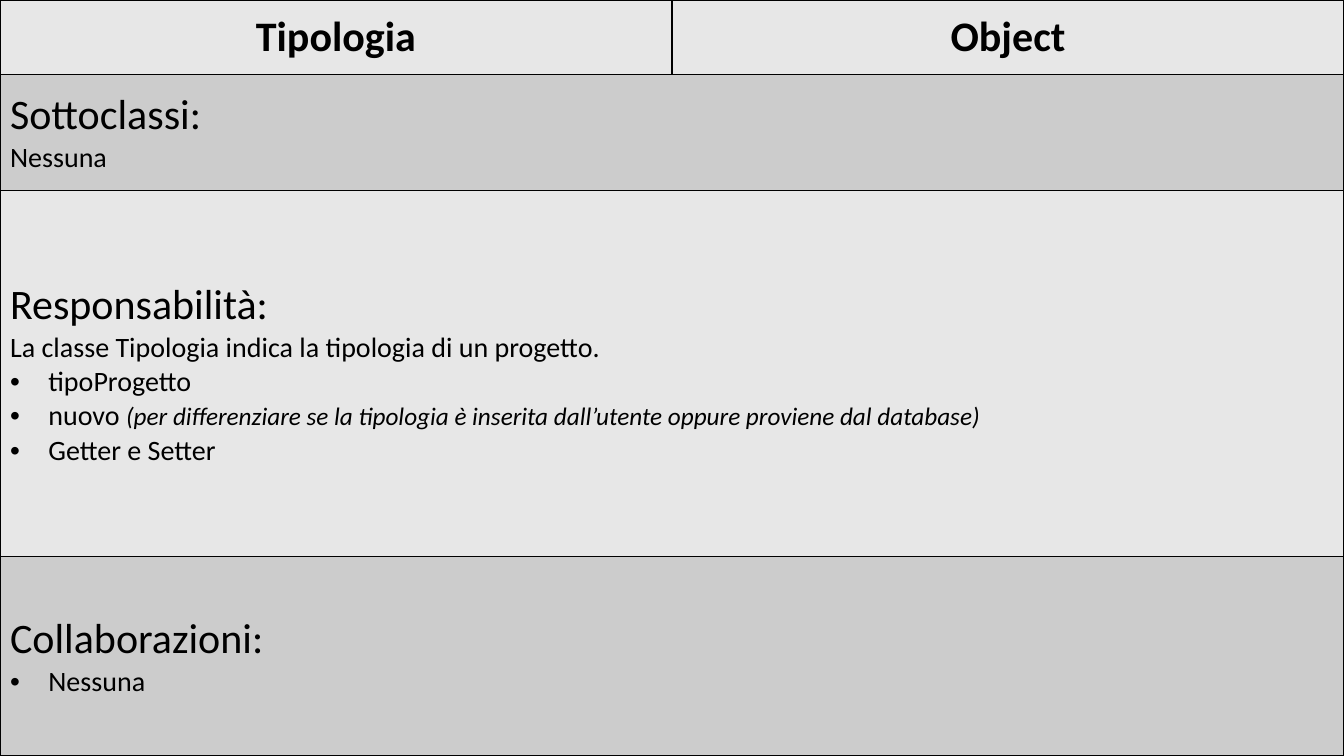
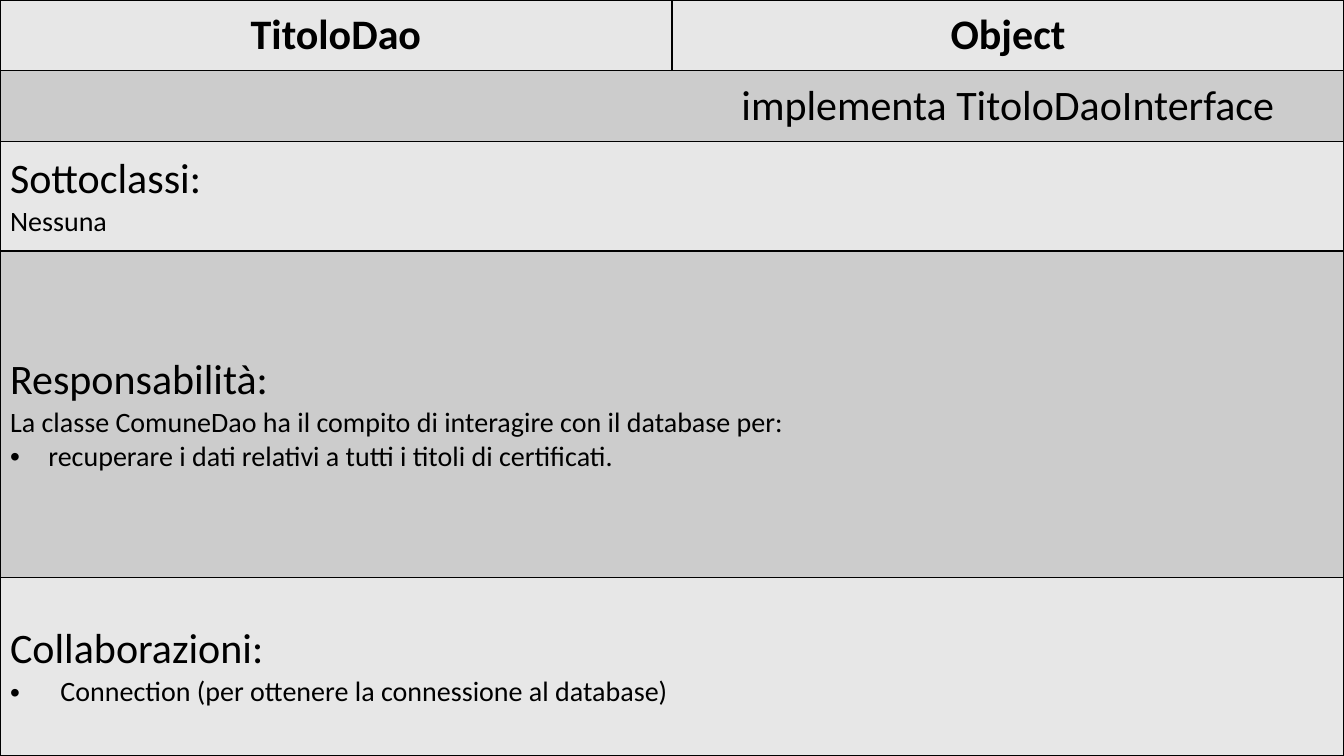
"""Build two class-responsibility cards as full-slide tables."""
from lxml import etree
from pptx import Presentation
from pptx import util as u
from pptx.dml.color import RGBColor
from pptx.enum import text as t
from pptx.oxml import ns

BLACK = RGBColor(0x00, 0x00, 0x00)
LIGHT = RGBColor(0xE7, 0xE7, 0xE7)
DARK = RGBColor(0xCC, 0xCC, 0xCC)
FONT = "Calibri"
HEADING_SIZE, BODY_SIZE, REMARK_SIZE = 30, 20, 18
SLIDE_WIDTH, SLIDE_HEIGHT = u.Inches(13.33), u.Inches(7.5)
LEFT, CENTER, JUSTIFY = t.PP_ALIGN.LEFT, t.PP_ALIGN.CENTER, t.PP_ALIGN.JUSTIFY
SIDES = "LRTB"


def add_text(paragraph, text, size=BODY_SIZE, bold=False, italic=False):
    """Append a formatted run to a paragraph."""
    run = paragraph.add_run()
    run.text = text
    font = run.font
    font.name, font.size, font.bold, font.italic = FONT, u.Pt(size), bold, italic
    font.color.rgb = BLACK


def set_bullet(paragraph, indent):
    """Give a paragraph a round bullet with a hanging indent."""
    properties = paragraph._p.get_or_add_pPr()
    properties.set("marL", str(u.Inches(indent)))
    properties.set("indent", str(-u.Inches(indent)))
    etree.SubElement(properties, ns.qn("a:buFont")).set("typeface", "Arial")
    etree.SubElement(properties, ns.qn("a:buChar")).set("char", "•")


def style_cell(cell, color, open_side=""):
    """Fill a cell, centre it vertically and border all but its open side."""
    cell.fill.solid()
    cell.fill.fore_color.rgb = color
    cell.vertical_anchor = t.MSO_ANCHOR.MIDDLE
    properties = cell._tc.get_or_add_tcPr()
    for position, side in enumerate(SIDES):
        line = etree.Element(ns.qn(f"a:ln{side}"), w=str(u.Pt(1)))
        if side == open_side:
            etree.SubElement(line, ns.qn("a:noFill"))
        else:
            fill = etree.SubElement(line, ns.qn("a:solidFill"))
            etree.SubElement(fill, ns.qn("a:srgbClr")).set("val", str(BLACK))
        properties.insert(position, line)


def fill_label(cell, text, bold=False):
    """Write one centred label in a cell."""
    paragraph = cell.text_frame.paragraphs[0]
    paragraph.alignment = CENTER
    add_text(paragraph, text, size=HEADING_SIZE, bold=bold)


def fill_section(cell, heading, intro="", bullets=(), alignment=LEFT, indent=0.38):
    """Write a heading, an optional sentence and bullets with optional remarks."""
    frame = cell.text_frame
    paragraph = frame.paragraphs[0]
    paragraph.alignment = alignment
    add_text(paragraph, heading, size=HEADING_SIZE)
    if intro:
        paragraph = frame.add_paragraph()
        paragraph.alignment = alignment
        add_text(paragraph, intro)
    for item, remark in bullets:
        paragraph = frame.add_paragraph()
        paragraph.alignment = alignment
        set_bullet(paragraph, indent)
        add_text(paragraph, item)
        if remark:
            add_text(paragraph, remark, size=REMARK_SIZE, italic=True)


def add_card(slide, box, heights, names, sections, interface=""):
    """Draw a class card as a table in a box of left, top, width and height."""
    table = slide.shapes.add_table(len(heights), 2, *box).table
    for column in table.columns:
        column.width = box[2] // 2
    first_section = 2 if interface else 1
    for index, height in enumerate(heights):
        table.rows[index].height = u.Inches(height)
        is_interface = interface and index == 1
        for column, open_side in enumerate("RL"):
            style_cell(table.cell(index, column), DARK if index % 2 else LIGHT,
                       open_side if is_interface else "")
        if index >= first_section:
            table.cell(index, 0).merge(table.cell(index, 1))
            fill_section(table.cell(index, 0), **sections[index - first_section])
    for column, name in enumerate(names):
        fill_label(table.cell(0, column), name, bold=True)
    if interface:
        fill_label(table.cell(1, 1), interface)


SUBCLASSES = dict(heading="Sottoclassi:", intro="Nessuna")
CARDS = [
    dict(
        heights=[0.74, 1.15, 3.63, 1.98],
        names=["Tipologia", "Object"],
        sections=[
            SUBCLASSES,
            dict(heading="Responsabilità:",
                 intro="La classe Tipologia indica la tipologia di un progetto.",
                 bullets=[("tipoProgetto", ""),
                          ("nuovo ", "(per differenziare se la tipologia è inserita "
                                     "dall’utente oppure proviene dal database)"),
                          ("Getter e Setter", "")],
                 alignment=JUSTIFY),
            dict(heading="Collaborazioni:", bullets=[("Nessuna", "")]),
        ],
    ),
    dict(
        heights=[0.7, 0.7, 1.09, 3.24, 1.77],
        names=["TitoloDao", "Object"],
        interface="implementa TitoloDaoInterface",
        sections=[
            SUBCLASSES,
            dict(heading="Responsabilità:",
                 intro="La classe ComuneDao ha il compito di interagire con il database per:",
                 bullets=[("recuperare i dati relativi a tutti i titoli di certificati.", "")],
                 alignment=JUSTIFY),
            dict(heading="Collaborazioni:",
                 bullets=[("Connection (per ottenere la connessione al database)", "")],
                 indent=0.5),
        ],
    ),
]


def main():
    """Build and save the presentation."""
    presentation = Presentation()
    presentation.slide_width, presentation.slide_height = SLIDE_WIDTH, SLIDE_HEIGHT
    for card in CARDS:
        slide = presentation.slides.add_slide(presentation.slide_layouts[6])
        add_card(slide, (0, 0, SLIDE_WIDTH, SLIDE_HEIGHT), **card)
    presentation.save("out.pptx")


if __name__ == "__main__":
    main()
